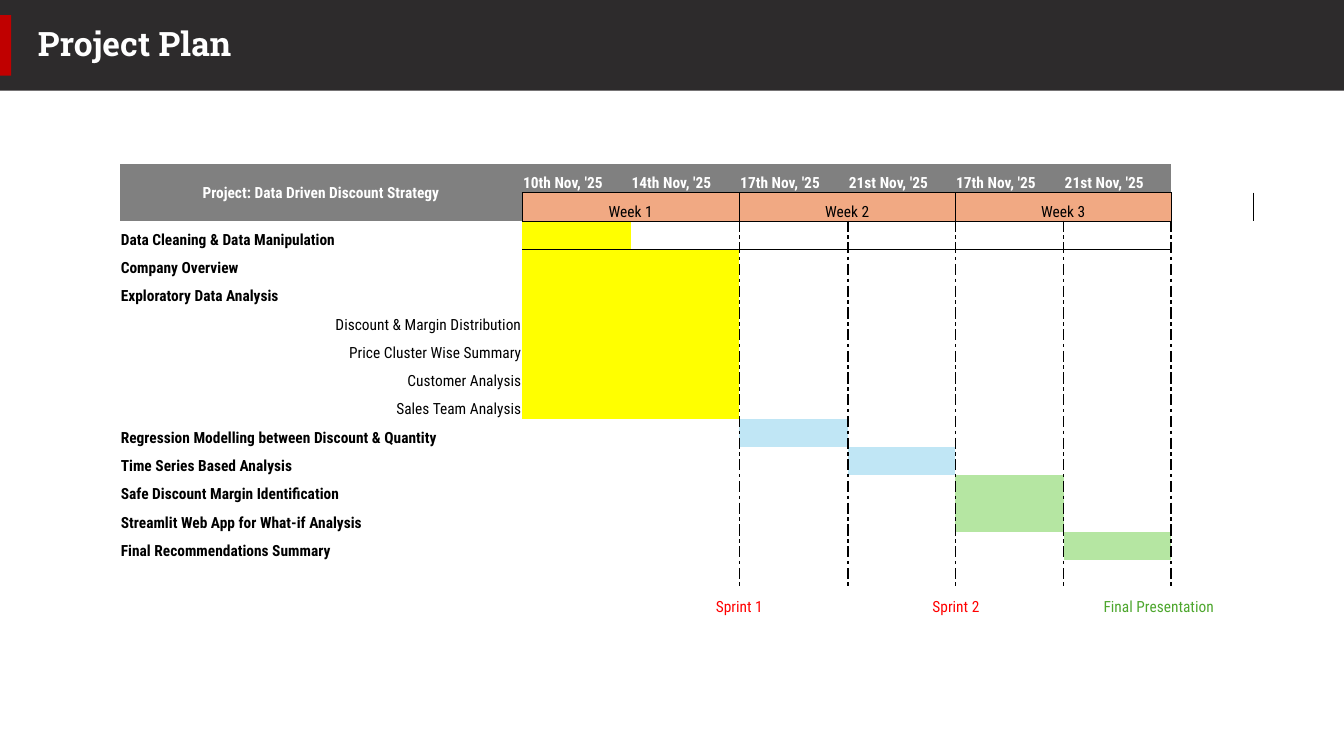
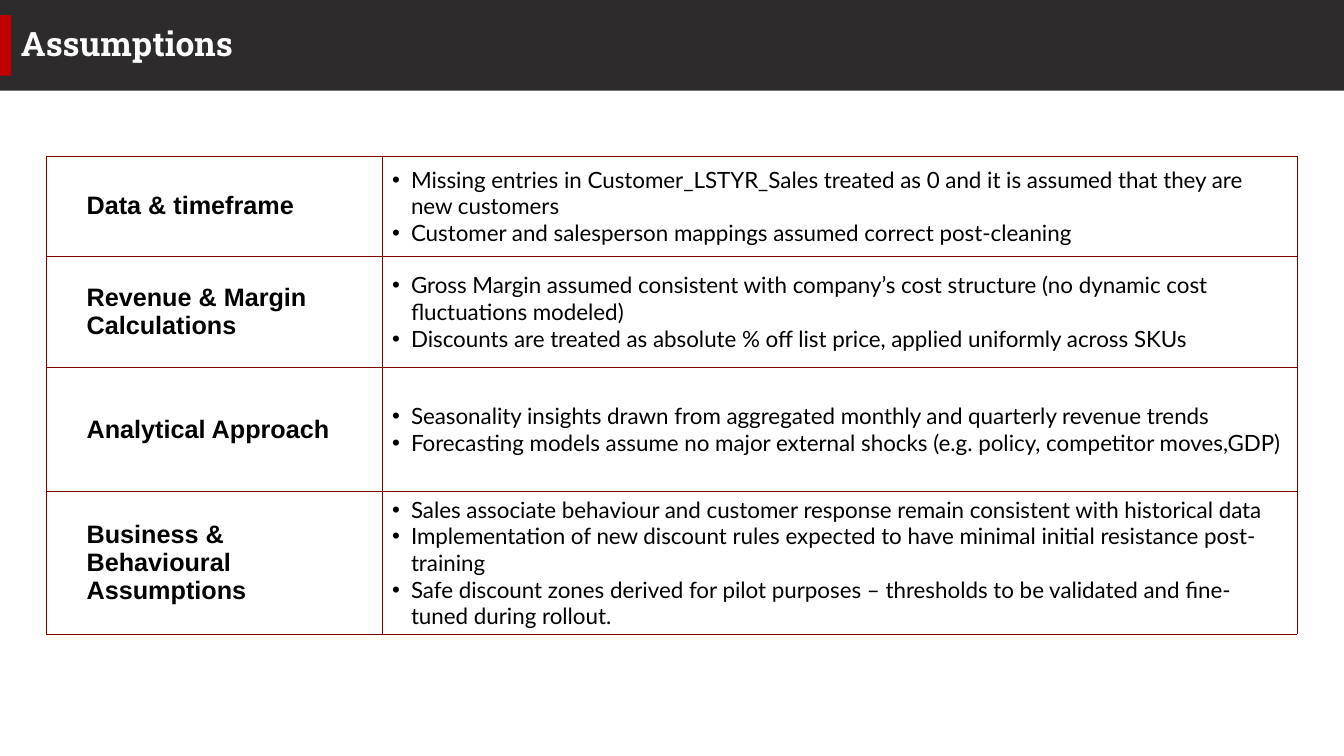
import pptx
import pptx.dml.color
import pptx.enum.shapes
import pptx.enum.text
import pptx.oxml.ns
import pptx.util
from lxml import etree

Pt = pptx.util.Pt
qn = pptx.oxml.ns.qn
ANCHOR = pptx.enum.text.MSO_ANCHOR
ALIGN = pptx.enum.text.PP_ALIGN

SLIDE_WIDTH, SLIDE_HEIGHT = 960, 540
BAND_HEIGHT = 64.8
TITLE_TOP, TITLE_HEIGHT = 10.8, 43.2
BAND_COLOR, ACCENT_COLOR = "2D2B2C", "C00000"
BLACK, WHITE = "000000", "FFFFFF"
PLAIN_TABLE_STYLE = "{2D5ABB26-0587-4C30-8999-92F81FD0307C}"

HEADER_GRAY, WEEK_ORANGE = "808080", "F1A983"
YELLOW, BLUE, GREEN = "FFFF00", "C0E6F5", "B5E6A2"
THIN_LINE = (BLACK, 0.5, "solid")
SPRINT_LINE = (BLACK, 1, "dashDot")
GRID_LINE = ("800000", 0.25, "solid")

PLAN_COLUMNS = [287.3, 77.6, 77.6, 77.6, 76.6, 77.6, 76.6, 59]
PLAN_ROW_COUNT, PLAN_ROW_HEIGHT = 17, 20.2
FIRST_TASK_ROW, LAST_LINE_ROW, MILESTONE_ROW = 2, 14, 15
DATES = ["10th Nov, '25", "14th Nov, '25", "17th Nov, '25",
         "21st Nov, '25", "17th Nov, '25", "21st Nov, '25"]
MILESTONES = [("Sprint 1", "FF0000"), ("Sprint 2", "FF0000"),
              ("Final Presentation", "4EA72E")]
TASKS = [
    ("Data Cleaning & Data Manipulation", True, [1], YELLOW),
    ("Company Overview", True, [1, 2], YELLOW),
    ("Exploratory Data Analysis", True, [1, 2], YELLOW),
    ("Discount & Margin Distribution", False, [1, 2], YELLOW),
    ("Price Cluster Wise Summary", False, [1, 2], YELLOW),
    ("Customer Analysis", False, [1, 2], YELLOW),
    ("Sales Team Analysis", False, [1, 2], YELLOW),
    ("Regression Modelling between Discount & Quantity", True, [3], BLUE),
    ("Time Series Based Analysis", True, [4], BLUE),
    ("Safe Discount Margin Identification", True, [5], GREEN),
    ("Streamlit Web App for What-if Analysis", True, [5], GREEN),
    ("Final Recommendations Summary", True, [6], GREEN),
]

ASSUMPTION_COLUMNS = [239.8, 653.8]
ASSUMPTIONS = [
    ("Data & timeframe", 71.4, [
        "Missing entries in Customer_LSTYR_Sales treated as 0 and it is assumed "
        "that they are new customers",
        "Customer and salesperson mappings assumed correct post-cleaning"]),
    ("Revenue & Margin Calculations", 79.5, [
        "Gross Margin assumed consistent with company’s cost structure "
        "(no dynamic cost fluctuations modeled)",
        "Discounts are treated as absolute % off list price, applied uniformly "
        "across SKUs"]),
    ("Analytical Approach", 88.6, [
        "Seasonality insights drawn from aggregated monthly and quarterly "
        "revenue trends",
        "Forecasting models assume no major external shocks "
        "(e.g. policy, competitor moves,GDP)"]),
    ("Business & Behavioural Assumptions", 102, [
        "Sales associate behaviour and customer response remain consistent "
        "with historical data",
        "Implementation of new discount rules expected to have minimal initial "
        "resistance post-training",
        "Safe discount zones derived for pilot purposes – thresholds to be "
        "validated and fine-tuned during rollout."]),
]


def rgb(color):
    """Turn a hex string into a colour."""
    return pptx.dml.color.RGBColor.from_string(color)


def write_text(frame, text, *, size, font, color=BLACK, bold=False,
               align=ALIGN.LEFT, left=0, first=0, bullet=None, spacing=None):
    """Write one formatted paragraph for each line of the text."""
    for index, line in enumerate(text.split("\n")):
        paragraph = frame.add_paragraph() if index else frame.paragraphs[0]
        paragraph.alignment = align
        if spacing:
            paragraph.line_spacing = spacing
        properties = paragraph._p.get_or_add_pPr()
        properties.set("marL", str(Pt(left)))
        properties.set("indent", str(Pt(first)))
        if bullet:
            etree.SubElement(properties, qn("a:buFont"), typeface="Arial")
            etree.SubElement(properties, qn("a:buChar"), char=bullet)
        if not line:
            etree.SubElement(paragraph._p, qn("a:endParaRPr"), sz=str(size * 100))
            continue
        run = paragraph.add_run()
        run.text = line
        run.font.size = Pt(size)
        run.font.name = font
        run.font.bold = bold
        run.font.color.rgb = rgb(color)


def add_block(slide, left, top, width, height, color):
    """Add a plain filled rectangle."""
    block = slide.shapes.add_shape(
        pptx.enum.shapes.MSO_SHAPE.RECTANGLE,
        Pt(left), Pt(top), Pt(width), Pt(height))
    block.shadow.inherit = False
    block.fill.solid()
    block.fill.fore_color.rgb = rgb(color)
    block.line.fill.background()


def add_titled_slide(deck, title, title_left):
    """Add a blank slide with the dark band, red accent and title."""
    slide = deck.slides.add_slide(deck.slide_layouts[6])
    add_block(slide, 0, 0, SLIDE_WIDTH, BAND_HEIGHT, BAND_COLOR)
    add_block(slide, 0, TITLE_TOP, 7.9, TITLE_HEIGHT, ACCENT_COLOR)
    heading = slide.shapes.add_textbox(
        Pt(title_left), Pt(TITLE_TOP), Pt(942 - title_left), Pt(TITLE_HEIGHT))
    heading.text_frame.word_wrap = True
    heading.text_frame.vertical_anchor = ANCHOR.MIDDLE
    write_text(heading.text_frame, title, size=24, font="Roboto Slab",
               color=WHITE, bold=True, spacing=0.9)
    return slide


def add_grid(slide, left, top, columns, rows):
    """Add an unstyled table with the given column widths and row heights."""
    table = slide.shapes.add_table(
        len(rows), len(columns), Pt(left), Pt(top),
        Pt(sum(columns)), Pt(sum(rows))).table
    table.first_row = table.horz_banding = False
    table._tbl.xpath(".//a:tableStyleId")[0].text = PLAIN_TABLE_STYLE
    for column, width in zip(table.columns, columns):
        column.width = Pt(width)
    for row, height in zip(table.rows, rows):
        row.height = Pt(height)
    return table


def style_cell(cell, *, anchor, margins, fill=None, borders=None):
    """Set a cell's anchor, margins, fill and borders keyed L, R, T, B."""
    cell.vertical_anchor = anchor
    cell.margin_left, cell.margin_top, cell.margin_right, cell.margin_bottom = (
        Pt(margin) for margin in margins)
    if fill:
        cell.fill.solid()
        cell.fill.fore_color.rgb = rgb(fill)
    else:
        cell.fill.background()
    borders = borders or {}
    properties = cell._tc.get_or_add_tcPr()
    for position, side in enumerate(side for side in "LRTB" if side in borders):
        color, width, dash = borders[side]
        edge = etree.Element(qn(f"a:ln{side}"), w=str(Pt(width)))
        paint = etree.SubElement(edge, qn("a:solidFill"))
        etree.SubElement(paint, qn("a:srgbClr"), val=color)
        etree.SubElement(edge, qn("a:prstDash"), val=dash)
        properties.insert(position, edge)


def plan_borders(row, column):
    """Give the borders of one cell of the plan."""
    if row == 0:
        return {"B": THIN_LINE} if 1 <= column <= 6 else {}
    if row == 1:
        if column == 7:
            return {"L": THIN_LINE}
        return dict.fromkeys("LRTB", THIN_LINE) if column else {}
    borders = {}
    if row <= LAST_LINE_ROW and column >= 2:
        borders["L" if column % 2 else "R"] = SPRINT_LINE
    if row == FIRST_TASK_ROW and 1 <= column <= 6:
        borders["T"] = THIN_LINE
    return borders


def plan_contents():
    """Collect the plan's texts with their formats, and its fills, by cell."""
    texts = {(0, 0): ("Project: Data Driven Discount Strategy",
                      dict(color=WHITE, bold=True, align=ALIGN.CENTER))}
    fills = {(row, 0): HEADER_GRAY for row in (0, 1)}
    for column, date in enumerate(DATES, 1):
        texts[0, column] = (date, dict(color=WHITE, bold=True))
        fills[0, column] = HEADER_GRAY
        fills[1, column] = WEEK_ORANGE
    for week, (milestone, color) in enumerate(MILESTONES, 1):
        texts[1, 2 * week - 1] = (f"Week {week}", dict(align=ALIGN.CENTER))
        texts[MILESTONE_ROW, 2 * week] = (
            milestone, dict(color=color, align=ALIGN.CENTER))
    for row, (task, is_main, days, color) in enumerate(TASKS, FIRST_TASK_ROW):
        texts[row, 0] = (task, dict(
            bold=is_main, align=ALIGN.LEFT if is_main else ALIGN.RIGHT))
        fills.update({(row, day): color for day in days})
    return texts, fills


def add_plan(slide):
    """Add the Gantt table of tasks, weeks and sprints."""
    plan = add_grid(slide, 85.7, 117.4, PLAN_COLUMNS,
                    [PLAN_ROW_HEIGHT] * PLAN_ROW_COUNT)
    plan.cell(0, 0).merge(plan.cell(1, 0))
    for column in (1, 3, 5):
        plan.cell(1, column).merge(plan.cell(1, column + 1))
        plan.cell(MILESTONE_ROW, column + 1).merge(
            plan.cell(MILESTONE_ROW, column + 2))
    texts, fills = plan_contents()
    for row in range(PLAN_ROW_COUNT):
        for column in range(len(PLAN_COLUMNS)):
            cell = plan.cell(row, column)
            text, text_format = texts.get((row, column), ("", {}))
            write_text(cell.text_frame, text, size=11, font="Roboto Condensed",
                       **text_format)
            style_cell(cell, margins=(0.6, 0.6, 0.6, 0),
                       anchor=ANCHOR.BOTTOM if column or row > 1 else ANCHOR.MIDDLE,
                       fill=fills.get((row, column)),
                       borders=plan_borders(row, column))


def add_assumptions(slide):
    """Add the table of assumptions by theme."""
    grid = add_grid(slide, 33.1, 111.6, ASSUMPTION_COLUMNS,
                    [height for _, height, _ in ASSUMPTIONS])
    for row, (theme, _, points) in enumerate(ASSUMPTIONS):
        theme_cell, points_cell = grid.cell(row, 0), grid.cell(row, 1)
        write_text(theme_cell.text_frame, theme, size=18, font="Arial",
                   bold=True, left=21.6)
        write_text(points_cell.text_frame, "\n".join(points), size=16,
                   font="Lato", left=13.5, first=-13.5, bullet="•")
        for cell in (theme_cell, points_cell):
            style_cell(cell, anchor=ANCHOR.MIDDLE, margins=(7.2, 2.9, 7.2, 2.9),
                       borders=dict.fromkeys("LRTB", GRID_LINE))


def main():
    """Build and save the deck."""
    deck = pptx.Presentation()
    deck.slide_width, deck.slide_height = Pt(SLIDE_WIDTH), Pt(SLIDE_HEIGHT)
    add_plan(add_titled_slide(deck, "Project Plan", 20))
    add_assumptions(add_titled_slide(deck, "Assumptions", 7.9))
    deck.save("out.pptx")


if __name__ == "__main__":
    main()
